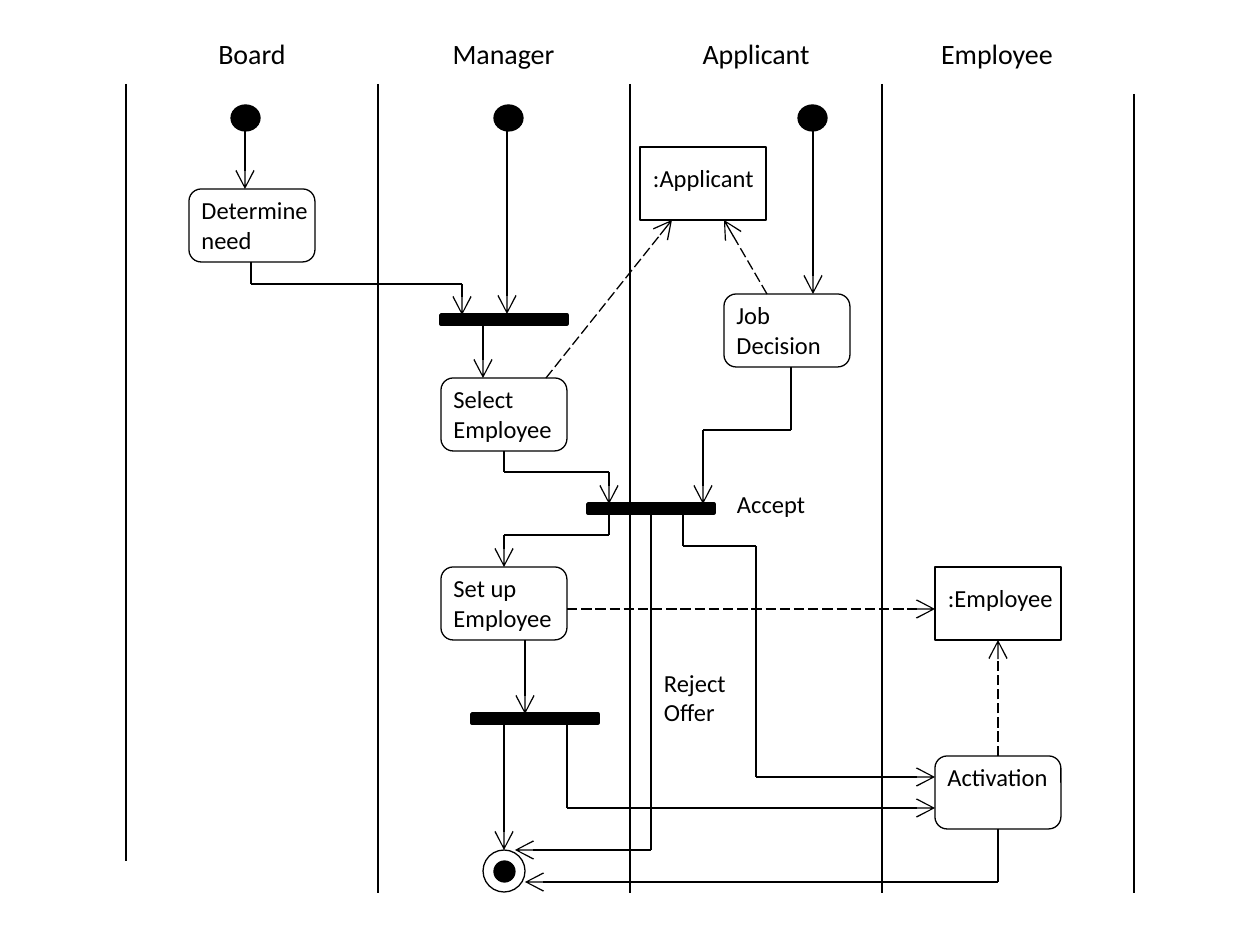
"""Build a swimlane activity diagram of a hiring process."""
from lxml import etree
from pptx import Presentation
from pptx.dml.color import RGBColor
from pptx.enum.dml import MSO_LINE
from pptx.enum.shapes import MSO_CONNECTOR, MSO_SHAPE
from pptx.enum.text import MSO_ANCHOR, PP_ALIGN
from pptx.oxml.ns import qn
from pptx.util import Pt

STRAIGHT = MSO_CONNECTOR.STRAIGHT
ELLIPSE, RECT, ROUNDED = MSO_SHAPE.OVAL, MSO_SHAPE.RECTANGLE, MSO_SHAPE.ROUNDED_RECTANGLE
LONG_DASH = MSO_LINE.LONG_DASH
LEFT, CENTER = PP_ALIGN.LEFT, PP_ALIGN.CENTER
TOP_ANCHOR = MSO_ANCHOR.TOP

EMU_PER_PX = 914400 / 126
COLORS = {"ink": "000000", "paper": "FFFFFF"}
FONT = "Calibri"
BOX_WIDTH, BOX_HEIGHT = 126, 73
TOP, BOTTOM = 0, 2

HEADERS = [("Board", 189, 126), ("Manager", 430, 147),
           ("Applicant", 672, 168), ("Employee", 892, 210)]
LANES = [(126, 84, 861), (378, 84, 893), (630, 84, 893), (882, 84, 893), (1134, 94, 893)]
STARTS = [231, 494, 798]
ACTIVITIES = {
    "determine": ("Determine\nneed", 189, 189),
    "select": ("Select\nEmployee", 441, 378),
    "set_up": ("Set up\nEmployee", 441, 567),
    "job": ("Job\nDecision", 724, 294),
    "activation": ("Activation", 935, 756),
}
OBJECTS = {"applicant": (":Applicant", 640, 147), "employee": (":Employee", 935, 567)}
BARS = {"need": (441, 315), "decision": (588, 504), "ready": (472, 714)}
GUARDS = [("Accept", 724, 483, 116, 43), ("Reject\nOffer", 651, 662, 179, 72)]

# Each flow: points, then the joined start and end as (element, side).
FLOWS = [
    ([(245, 131), (245, 189)], None, None),
    ([(507, 131), (507, 314)], None, None),
    ([(483, 325), (483, 378)], None, None),
    ([(251, 262), (251, 284), (462, 284), (462, 315)], None, None),
    ([(813, 131), (813, 294)], None, None),
    ([(791, 367), (791, 430), (703, 430), (703, 504)], None, None),
    ([(504, 451), (504, 472), (609, 472), (609, 504)], ("select", BOTTOM), None),
    ([(683, 514), (683, 546), (756, 546), (756, 777), (935, 777)], None, None),
    ([(651, 513), (651, 850), (515, 850)], ("decision", BOTTOM), None),
    ([(609, 514), (609, 535), (504, 535), (504, 567)], None, ("set_up", TOP)),
    ([(567, 724), (567, 808), (935, 808)], None, None),
    ([(998, 829), (998, 882), (525, 882)], ("activation", BOTTOM), None),
    ([(504, 724), (504, 850)], None, None),
    ([(525, 640), (525, 714)], None, None),
]
OBJECT_FLOWS = [
    ([(567, 609), (935, 609)], None, None),
    ([(998, 756), (998, 640)], ("activation", TOP), ("employee", BOTTOM)),
    ([(767, 294), (724, 220)], None, None),
    ([(546, 378), (672, 220)], None, None),
]


def px(length):
    """Turn px into EMU."""
    return round(length * EMU_PER_PX)


def color(name):
    """Return a colour by its name."""
    return RGBColor.from_string(COLORS[name])


def write(frame, text, size, align, insets):
    """Fill a frame with one paragraph per line of text."""
    frame.word_wrap = True
    frame.vertical_anchor = TOP_ANCHOR
    left, top, right = insets
    frame.margin_left, frame.margin_top, frame.margin_right = px(left), px(top), px(right)
    for index, line in enumerate(text.split("\n")):
        paragraph = frame.add_paragraph() if index else frame.paragraphs[0]
        paragraph.text = line
        paragraph.alignment = align
        paragraph.font.name = FONT
        paragraph.font.size = Pt(size)
        paragraph.font.color.rgb = color("ink")


def add_node(slide, preset, x, y, width, height, fill=None, weight=0.75):
    """Add an outlined shape, filled if a colour is given."""
    node = slide.shapes.add_shape(preset, px(x), px(y), px(width), px(height))
    node.shadow.inherit = False
    if fill:
        node.fill.solid()
        node.fill.fore_color.rgb = color(fill)
    else:
        node.fill.background()
    node.line.color.rgb = color("ink")
    node.line.width = Pt(weight)
    return node


def add_box(slide, preset, text, x, y, insets):
    """Add an activity or object box with its text."""
    box = add_node(slide, preset, x, y, BOX_WIDTH, BOX_HEIGHT)
    write(box.text_frame, text, 14, LEFT, insets)
    return box


def add_label(slide, text, x, y, width, height, size=14, align=LEFT):
    """Add free-standing text."""
    label = slide.shapes.add_textbox(px(x), px(y), px(width), px(height))
    write(label.text_frame, text, size, align, (13, 6, 13))


def add_line(slide, start, end, dashed=False):
    """Add a thin straight connector without a shadow."""
    line = slide.shapes.add_connector(STRAIGHT, *map(px, start + end))
    line.line.color.rgb = color("ink")
    line.line.width = Pt(0.75)
    if dashed:
        line.line.dash_style = LONG_DASH
    etree.SubElement(line._element.spPr, qn("a:effectLst"))
    return line


def add_flow(slide, nodes, points, source, target, dashed=False):
    """Add a path of straight segments that ends in an open arrowhead."""
    segments = [add_line(slide, *pair, dashed) for pair in zip(points, points[1:])]
    if source:
        segments[0].begin_connect(nodes[source[0]], source[1])
    if target:
        segments[-1].end_connect(nodes[target[0]], target[1])
    outline = segments[-1].line._get_or_add_ln()
    etree.SubElement(outline, qn("a:tailEnd"), type="arrow", w="lg", len="lg")


def main():
    """Build and save the slide."""
    deck = Presentation()
    deck.slide_width, deck.slide_height = px(1260), px(945)
    slide = deck.slides.add_slide(deck.slide_layouts[6])

    for x, top, bottom in LANES:
        add_line(slide, (x, top), (x, bottom))
    for name, x, width in HEADERS:
        add_label(slide, name, x, 31, width, 46, 16, CENTER)
    for x in STARTS:
        add_node(slide, ELLIPSE, x, 105, 29, 26, "ink")
    add_node(slide, ELLIPSE, 483, 850, 42, 42, "paper")
    add_node(slide, ELLIPSE, 494, 861, 21, 21, "ink")

    nodes = {}
    for key, (x, y) in BARS.items():
        nodes[key] = add_node(slide, RECT, x, y, 126, 9, "ink", 2)
    for key, activity in ACTIVITIES.items():
        nodes[key] = add_box(slide, ROUNDED, *activity, (9, 3, 0))
    for key, entity in OBJECTS.items():
        nodes[key] = add_box(slide, RECT, *entity, (13, 16, 0))

    for guard in GUARDS:
        add_label(slide, *guard)
    for flow in FLOWS:
        add_flow(slide, nodes, *flow)
    for flow in OBJECT_FLOWS:
        add_flow(slide, nodes, *flow, dashed=True)
    deck.save("out.pptx")


if __name__ == "__main__":
    main()
